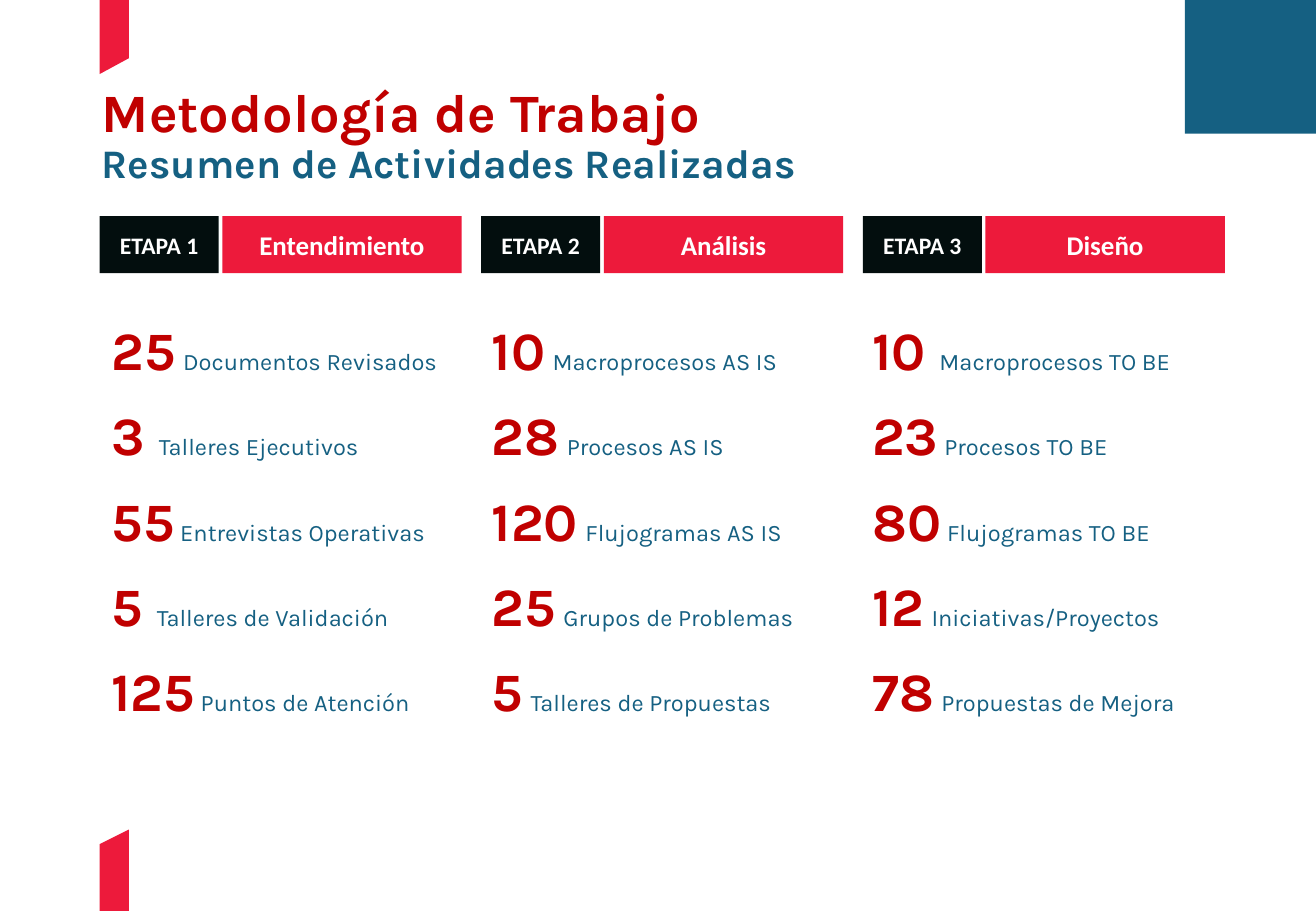
from pptx import Presentation
from pptx.dml.color import RGBColor
from pptx.enum.shapes import MSO_SHAPE
from pptx.enum.text import MSO_ANCHOR, PP_ALIGN
from pptx.util import Inches, Pt

RECTANGLE = MSO_SHAPE.RECTANGLE
MIDDLE, TOP = MSO_ANCHOR.MIDDLE, MSO_ANCHOR.TOP
CENTER, LEFT = PP_ALIGN.CENTER, PP_ALIGN.LEFT

WIDTH, HEIGHT = 10.83, 7.5
MARGIN = 0.82
HEADER_PITCH, LIST_PITCH = 3.14, 3.13
HEADER_TOP, HEADER_HEIGHT = 1.78, 0.47
STAGE_WIDTH, NAME_OFFSET, NAME_WIDTH = 0.98, 1.01, 1.97
LIST_TOP, LIST_WIDTH, LIST_HEIGHT = 2.56, 2.98, 3.47
RIBBON_RIGHT = MARGIN + 0.24

RED, CRIMSON, BLUE, BLACK, WHITE = "C00000", "ED1A3B", "156082", "030E0E", "FFFFFF"
HEADING_FONT, LABEL_FONT = "Karla", "Calibri"

# Each activity: count, label, size of the space between them
STAGES = [
    ("Entendimiento", [
        ("25", "Documentos Revisados", 18),
        ("3", "Talleres Ejecutivos", 32),
        ("55", "Entrevistas Operativas", 14),
        ("5", "Talleres de Validación", 32),
        ("125", "Puntos de Atención", 14),
    ]),
    ("Análisis", [
        ("10", "Macroprocesos AS IS", 18),
        ("28", "Procesos AS IS", 18),
        ("120", "Flujogramas AS IS", 18),
        ("25", "Grupos de Problemas", 18),
        ("5", "Talleres de Propuestas", 18),
    ]),
    ("Diseño", [
        ("10", "Macroprocesos TO BE", 32),
        ("23", "Procesos TO BE", 14),
        ("80", "Flujogramas TO BE", 14),
        ("12", "Iniciativas/Proyectos", 18),
        ("78", "Propuestas de Mejora", 18),
    ]),
]


def color(value):
    return RGBColor.from_string(value)


def paint(shape, fill):
    shape.shadow.inherit = False
    shape.fill.solid()
    shape.fill.fore_color.rgb = color(fill)
    shape.line.fill.background()


def add_run(paragraph, text, size, fill, bold=False, font=HEADING_FONT):
    run = paragraph.add_run()
    run.text = text
    run.font.name = font
    run.font.size = Pt(size)
    run.font.bold = bold
    run.font.color.rgb = color(fill)


def add_block(slide, left, top, width, height, fill):
    block = slide.shapes.add_shape(
        RECTANGLE, Inches(left), Inches(top), Inches(width), Inches(height))
    paint(block, fill)
    return block


def add_label(slide, left, width, fill, text, size):
    label = add_block(slide, left, HEADER_TOP, width, HEADER_HEIGHT, fill)
    label.text_frame.vertical_anchor = MIDDLE
    paragraph = label.text_frame.paragraphs[0]
    paragraph.alignment = CENTER
    add_run(paragraph, text, size, WHITE, True, LABEL_FONT)


def add_ribbon(slide, edge, left_end, right_end):
    """Draw a strip from a slide edge to a slanted end."""
    builder = slide.shapes.build_freeform(
        Inches(MARGIN), Inches(edge), scale=1.0)
    builder.add_line_segments([
        (Inches(RIBBON_RIGHT), Inches(edge)),
        (Inches(RIBBON_RIGHT), Inches(right_end)),
        (Inches(MARGIN), Inches(left_end)),
    ], close=True)
    paint(builder.convert_to_shape(), CRIMSON)


def add_paragraphs(slide, left, top, width, height, lines, anchor=TOP,
                   spacing=0, line_spacing=1.0):
    """Add a text box; each line is a list of add_run arguments."""
    box = slide.shapes.add_textbox(
        Inches(left), Inches(top), Inches(width), Inches(height))
    frame = box.text_frame
    frame.word_wrap = True
    frame.vertical_anchor = anchor
    for index, runs in enumerate(lines):
        paragraph = frame.add_paragraph() if index else frame.paragraphs[0]
        paragraph.alignment = LEFT
        paragraph.line_spacing = line_spacing
        paragraph.space_before = Pt(spacing if index else 0)
        paragraph.space_after = Pt(spacing)
        for run in runs:
            add_run(paragraph, *run)


def add_stage(slide, index, name, activities):
    left = MARGIN + index * HEADER_PITCH
    add_label(slide, left, STAGE_WIDTH, BLACK, f"ETAPA {index + 1}", 14)
    add_label(slide, left + NAME_OFFSET, NAME_WIDTH, CRIMSON, name, 16)
    lines = [
        [(count, 32, RED, True), (" ", gap, RED, gap == 32), (label, 14, BLUE)]
        for count, label, gap in activities
    ]
    add_paragraphs(slide, MARGIN + index * LIST_PITCH, LIST_TOP,
                   LIST_WIDTH, LIST_HEIGHT, lines, spacing=6)


def main():
    presentation = Presentation()
    presentation.slide_width = Inches(WIDTH)
    presentation.slide_height = Inches(HEIGHT)
    slide = presentation.slides.add_slide(presentation.slide_layouts[6])

    add_block(slide, WIDTH - 1.08, 0, 1.08, 1.1, BLUE)
    add_ribbon(slide, HEIGHT, 6.95, 6.83)
    add_ribbon(slide, 0, 0.61, 0.48)
    add_paragraphs(slide, 0.74, 0.4, 9.34, 1.45, [
        [("Metodología de Trabajo", 32, RED, True)],
        [("Resumen de Actividades Realizadas", 24, BLUE, True)],
    ], anchor=MIDDLE, line_spacing=0.9)
    for index, (name, activities) in enumerate(STAGES):
        add_stage(slide, index, name, activities)

    presentation.save("out.pptx")


if __name__ == "__main__":
    main()
